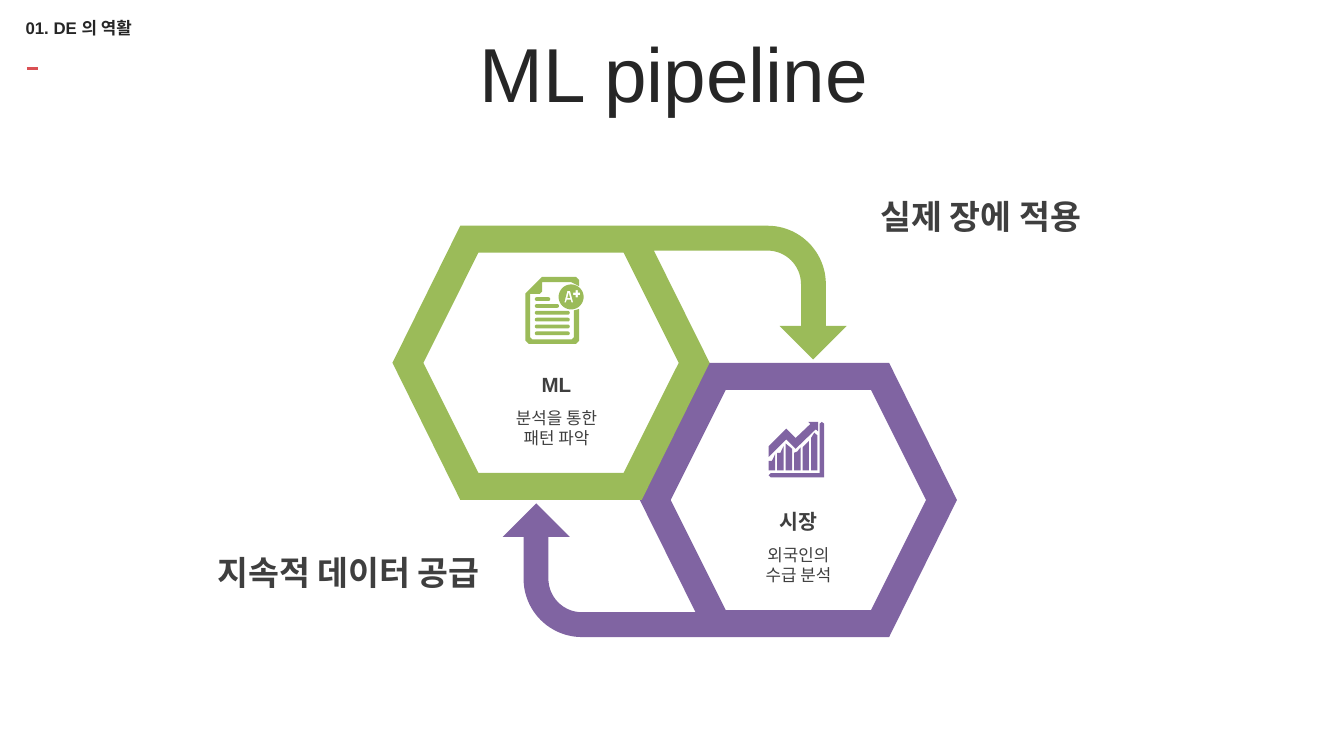
import math
from dataclasses import dataclass

import lxml.etree
import pptx
import pptx.dml.color
import pptx.enum.shapes
import pptx.enum.text
import pptx.oxml.ns
import pptx.util

COLUMNS, ROWS = 100, 56.25
ALIGN = pptx.enum.text.PP_ALIGN
ANCHOR = pptx.enum.text.MSO_ANCHOR


@dataclass(frozen=True)
class Theme:
    """Colours, font and type sizes of the slide."""
    font: str = "Arial"
    dark: str = "262626"
    body: str = "3F3F3F"
    green: str = "9BBB59"
    purple: str = "8064A2"
    accent: str = "DA5054"
    title: float = 41
    callout: float = 18
    label: float = 11
    small: float = 9


THEME = Theme()


def grid(cells):
    """Turn grid cells, a tenth of an inch each, into a length."""
    return pptx.util.Inches(cells / 10)


def rgb(colour):
    """Turn a hex string into a colour."""
    return pptx.dml.color.RGBColor.from_string(colour)


def add_text(page, area, lines, size, colour, bold=False, align=ALIGN.LEFT,
             anchor=ANCHOR.TOP, inset=(0.7, 0.4), spacing=None, grow=False):
    """Add a text box holding one paragraph of one or more lines."""
    box = page.shapes.add_textbox(*map(grid, area))
    frame = box.text_frame
    frame.word_wrap = True
    frame.vertical_anchor = anchor
    frame.margin_left = frame.margin_right = grid(inset[0])
    frame.margin_top = frame.margin_bottom = grid(inset[1])
    if grow:
        frame.auto_size = pptx.enum.text.MSO_AUTO_SIZE.SHAPE_TO_FIT_TEXT
    para = frame.paragraphs[0]
    para.alignment = align
    para.line_spacing = spacing
    for index, line in enumerate(lines):
        if index:
            para.add_line_break()
        span = para.add_run()
        span.text = line
        span.font.name = THEME.font
        span.font.size = pptx.util.Pt(size)
        span.font.bold = bold
        span.font.color.rgb = rgb(colour)


def add_outline(page, contours, colour, left=0, top=0, rotation=0):
    """Add one filled outline made of closed contours; inner ones are holes."""
    placed = [[(grid(left + x), grid(top + y)) for x, y in contour]
              for contour in contours]
    builder = page.shapes.build_freeform(*placed[0][0])
    for index, points in enumerate(placed):
        if index:
            builder.move_to(*points[0])
        builder.add_line_segments(points[1:], close=True)
    shape = builder.convert_to_shape()
    shape.shadow.inherit = False
    shape.fill.solid()
    shape.fill.fore_color.rgb = rgb(colour)
    shape.line.fill.background()
    shape.rotation = rotation


def arc(x, y, radius, start, end, steps=24):
    """Return points along an arc, with angles in degrees."""
    angles = [math.radians(start + (end - start) * step / steps)
              for step in range(steps + 1)]
    return [(x + radius * math.cos(angle), y + radius * math.sin(angle))
            for angle in angles]


def pill(left, top, width, height):
    """Return a bar with round ends."""
    radius = height / 2
    return (arc(left + width - radius, top + radius, radius, -90, 90, 8)
            + arc(left + radius, top + radius, radius, 90, 270, 8))


def add_hexagon_arrow(page, left, top, colour, rotation=0):
    """Add a hexagon ring whose top edge bends into an arrow."""
    hole = [(6.4, 2), (2.3, 10.2), (6.4, 18.4),
            (17.2, 18.4), (21.3, 10.2), (17.2, 2)]
    rim = [(5.05, 0), *arc(27.9, 4.35, 4.35, -90, 0), (32.25, 7.45),
           (33.8, 7.45), (31.3, 9.95), (28.8, 7.45), (30.4, 7.45),
           *arc(27.9, 4.35, 2.5, 0, -90), (19.45, 1.85), (23.6, 10.2),
           (18.55, 20.4), (5.05, 20.4), (0, 10.2)]
    add_outline(page, [rim, hole], colour, left, top, rotation)


def add_chart_icon(page, left, top, colour):
    """Add a small icon of rising bars under an arrow."""
    tops = [(2.9, 2.9, 2.4), (2.3, 2.3, 1.8), (1.6, 1.8, 2.0),
            (2.3, 2.2, 1.9), (1.9, 1.65, 1.4), (1.2, 0.8, 1.0)]
    contours = []
    for index, (first, middle, last) in enumerate(tops):
        start = 0.63 * index
        contours.append([(start, first), (start + 0.24, middle),
                         (start + 0.48, last), (start + 0.48, 3.6),
                         (start, 3.6)])
    contours.append([(0, 1.8), (1.3, 0.5), (2, 1.2), (3.1, 0.15), (2.95, 0),
                     (3.68, 0), (3.68, 0.7), (3.5, 0.55), (2, 2),
                     (1.3, 1.3), (0, 2.6)])
    contours.append([(3.8, 0.12), (3.95, 0), (4.12, 0.12), (4.12, 4.12),
                     (0.15, 4.12), (0, 3.97), (0.15, 3.82), (3.8, 3.82)])
    add_outline(page, contours, colour, left, top)


def add_report_icon(page, left, top, colour):
    """Add a small icon of a graded report."""
    sheet = [(1.25, 0), (3.75, 0), (4, 0.25), (4, 0.7), (3.6, 0.5),
             (3.4, 0.4), (1.25, 0.4), (1.25, 1.1), (1.05, 1.28), (0.35, 1.28),
             (0.35, 4.5), (0.5, 4.65), (3.45, 4.65), (3.6, 4.5), (3.6, 2.5),
             (4, 2.4), (4, 4.75), (3.75, 5), (0.25, 5), (0, 4.75), (0, 1.25)]
    badge = arc(3.4, 1.5, 0.93, 0, 360, 40)
    letter = [(2.9, 1.9), (3.12, 1.05), (3.32, 1.05), (3.55, 1.9),
              (3.42, 1.9), (3.36, 1.7), (3.08, 1.7), (3.02, 1.9)]
    counter = [(3.22, 1.2), (3.32, 1.57), (3.12, 1.57)]
    plus = [(3.73, 1), (3.91, 1), (3.91, 1.18), (4.08, 1.18), (4.08, 1.36),
            (3.91, 1.36), (3.91, 1.54), (3.73, 1.54), (3.73, 1.36),
            (3.55, 1.36), (3.55, 1.18), (3.73, 1.18)]
    widths = [1.15, 1.8, 2.6, 2.6, 2.6, 2.6]
    lines = [pill(0.7, 1.52 + 0.51 * row, width, 0.28)
             for row, width in enumerate(widths)]
    add_outline(page, [sheet, badge, letter, counter, plus, *lines],
                colour, left, top)


def add_stage(page, left, top, name, lines):
    """Add the name of a stage and the description below it."""
    add_text(page, (left, top, 14.8, 2.5), [name], THEME.label, THEME.body,
             bold=True, align=ALIGN.CENTER)
    add_text(page, (left, top + 2.6, 14.8, 3.8), lines, THEME.small,
             THEME.body, align=ALIGN.CENTER)


def add_callout(page, area, words, align):
    """Add a bold remark beside an arrow."""
    add_text(page, area, [words], THEME.callout, THEME.body, bold=True,
             align=align, grow=True)


def add_dash(page, left, top, width):
    """Add the short accent line under the section name."""
    dash = page.shapes.add_connector(
        pptx.enum.shapes.MSO_CONNECTOR.STRAIGHT,
        *map(grid, (left, top, left + width, top)))
    dash.line.color.rgb = rgb(THEME.accent)
    dash.line.width = pptx.util.Pt(2)
    lxml.etree.SubElement(dash._element.spPr,
                          pptx.oxml.ns.qn("a:effectLst"))


def main():
    """Build the slide and save it."""
    deck = pptx.Presentation()
    deck.slide_width, deck.slide_height = grid(COLUMNS), grid(ROWS)
    page = deck.slides.add_slide(deck.slide_layouts[6])
    add_text(page, (2.7, 2.8, 94.9, 5.9), ["ML pipeline"], THEME.title,
             THEME.dark, align=ALIGN.CENTER, anchor=ANCHOR.MIDDLE, spacing=0.9)
    add_hexagon_arrow(page, 37.4, 27, THEME.purple, rotation=180)
    add_hexagon_arrow(page, 29.2, 16.8, THEME.green)
    add_callout(page, (64.8, 14.2, 29.4, 3.8), "실제 장에 적용", ALIGN.LEFT)
    add_callout(page, (5.6, 40.7, 30.8, 3.8), "지속적 데이터 공급", ALIGN.RIGHT)
    add_stage(page, 34, 27.3, "ML", ["분석을 통한", "패턴 파악"])
    add_stage(page, 52, 37.5, "시장", ["외국인의", "수급 분석"])
    add_chart_icon(page, 57.2, 31.4, THEME.purple)
    add_report_icon(page, 39.1, 20.6, THEME.green)
    add_text(page, (1.9, 0.7, 25.5, 2.7), ["01. DE 의 역활"], THEME.small,
             THEME.dark, bold=True, anchor=ANCHOR.MIDDLE, inset=(0, 0))
    add_dash(page, 2, 5.1, 0.8)
    deck.save("out.pptx")


if __name__ == "__main__":
    main()
